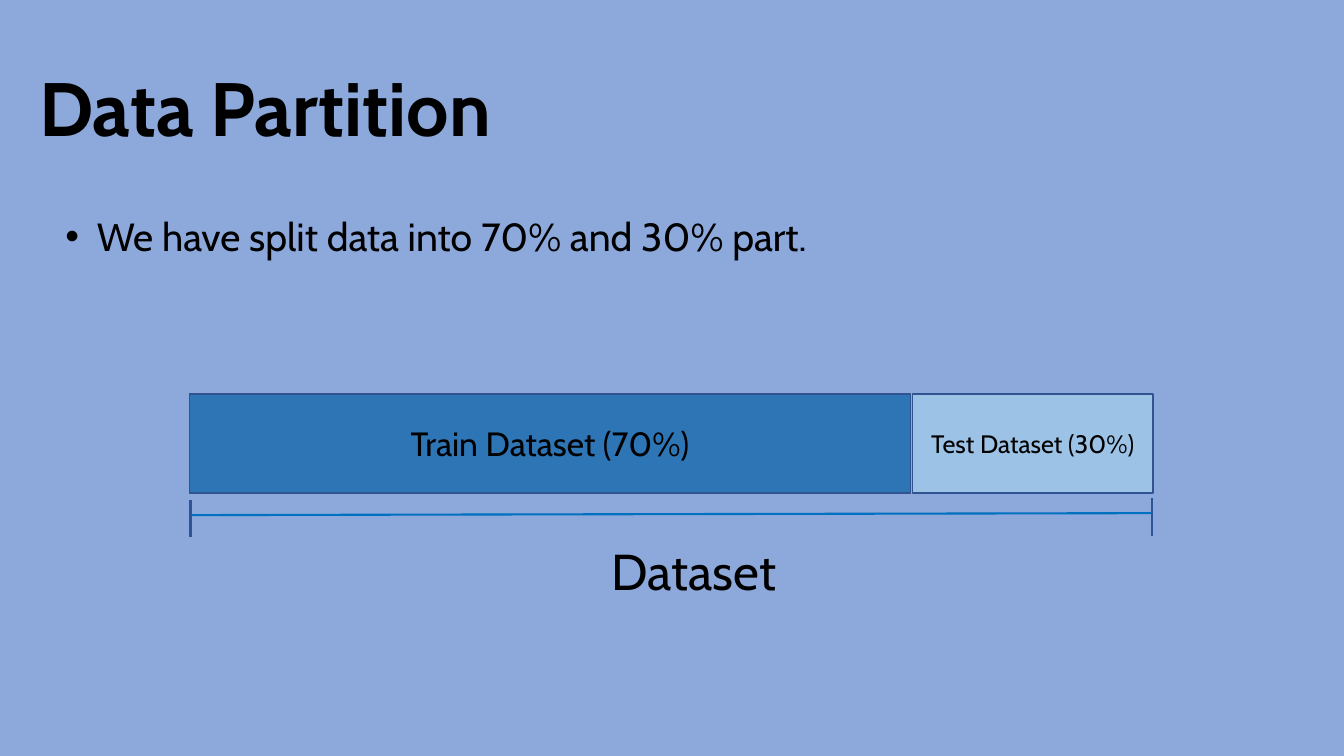
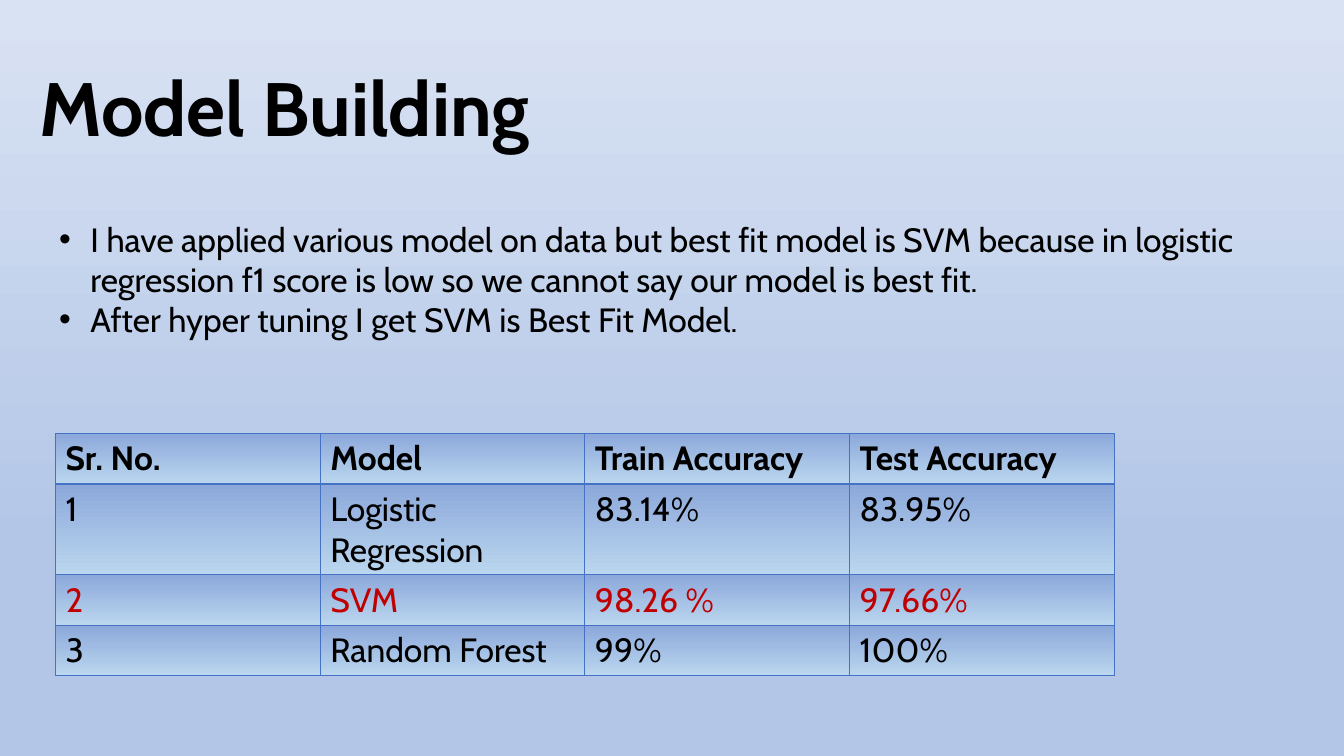
from lxml import etree
from pptx import Presentation
from pptx import util as u
from pptx.dml.color import RGBColor
from pptx.enum import shapes, text
from pptx.oxml.ns import qn

FONT = "Cabin"
COLOURS = {
    "ink": "000000", "page": "8DA9DB", "page top": "D8E2F3", "page bottom": "B3C6E7",
    "train": "2E75B5", "test": "9CC2E5", "outline": "31538F", "span": "0070C0",
    "tick": "2F5496", "cell bottom": "BBD6EE", "border": "4472C4", "highlight": "C00000",
}
RGB = {name: RGBColor.from_string(value) for name, value in COLOURS.items()}


def write(frame, lines, size, colour="ink", bold=False, align=None, bullet=False):
    frame.word_wrap = True
    for index, line in enumerate(lines):
        para = frame.paragraphs[0] if index == 0 else frame.add_paragraph()
        para.alignment = align
        if bullet:
            props = para._p.get_or_add_pPr()
            props.set("marL", str(u.Cm(0.79)))
            props.set("indent", str(-u.Cm(0.79)))
            etree.SubElement(props, qn("a:buFont"), typeface="Arial")
            etree.SubElement(props, qn("a:buChar"), char="•")
        span = para.add_run()
        span.text = line
        span.font.name = FONT
        span.font.size = u.Pt(size)
        span.font.bold = bold
        span.font.color.rgb = RGB[colour]


def shade(fill, stops):
    fill.gradient()
    fill.gradient_angle = 270
    for stop, (position, colour) in zip(fill.gradient_stops, stops):
        stop.position = position
        stop.color.rgb = RGB[colour]


deck = Presentation()
deck.slide_width = u.Cm(33.87)
deck.slide_height = u.Cm(19.05)

pages = []
for title in ("Data Partition", "Model Building"):
    page = deck.slides.add_slide(deck.slide_layouts[6])
    box = page.shapes.add_textbox(u.Cm(0.74), u.Cm(1.4), u.Cm(18.14), u.Cm(2.57))
    write(box.text_frame, [title], 54, bold=True)
    pages.append(page)
partition, building = pages

partition.background.fill.solid()
partition.background.fill.fore_color.rgb = RGB["page"]

bars = [
    ("Train Dataset (70%)", 4.78, 18.16, "train", 24),
    ("Test Dataset (30%)", 22.99, 6.07, "test", 18),
]
for label, left, width, colour, size in bars:
    bar = partition.shapes.add_shape(
        shapes.MSO_SHAPE.RECTANGLE, u.Cm(left), u.Cm(9.93), u.Cm(width), u.Cm(2.49))
    bar.shadow.inherit = False
    bar.fill.solid()
    bar.fill.fore_color.rgb = RGB[colour]
    bar.line.color.rgb = RGB["outline"]
    bar.line.width = u.Pt(1)
    bar.text_frame.vertical_anchor = text.MSO_ANCHOR.MIDDLE
    write(bar.text_frame, [label], size, align=text.PP_ALIGN.CENTER)

measures = [
    (4.8, 12.98, 29.01, 12.93, "span"),
    (4.8, 13.54, 4.8, 12.6, "tick"),
    (29.03, 13.51, 29.03, 12.55, "tick"),
]
for *ends, colour in measures:
    line = partition.shapes.add_connector(
        shapes.MSO_CONNECTOR.STRAIGHT, *[u.Cm(end) for end in ends])
    line.line.color.rgb = RGB[colour]
    line.line.width = u.Pt(1.5)
    etree.SubElement(line._element.spPr, qn("a:effectLst"))

box = partition.shapes.add_textbox(u.Cm(15.16), u.Cm(13.49), u.Cm(8.84), u.Cm(1.8))
write(box.text_frame, ["Dataset"], 36)

box = partition.shapes.add_textbox(u.Cm(1.4), u.Cm(5.23), u.Cm(29.29), u.Cm(1.45))
write(box.text_frame, ["We have split data into 70% and 30% part."], 28, bullet=True)

shade(building.background.fill, [(0.02, "page top"), (0.72, "page bottom")])

rows = [
    ("Sr. No.", "Model", "Train Accuracy", "Test Accuracy"),
    ("1", "Logistic Regression", "83.14%", "83.95%"),
    ("2", "SVM", "98.26 %", "97.66%"),
    ("3", "Random Forest", "99%", "100%"),
]
heights = [1.27, 2.29, 1.27, 1.27]
table = building.shapes.add_table(
    len(rows), len(rows[0]), u.Cm(1.4), u.Cm(10.92), u.Cm(26.68), u.Cm(sum(heights))).table
for column in table.columns:
    column.width = u.Cm(6.67)
for row, (values, height) in enumerate(zip(rows, heights)):
    table.rows[row].height = u.Cm(height)
    colour = "highlight" if "SVM" in values else "ink"
    for column, value in enumerate(values):
        cell = table.cell(row, column)
        write(cell.text_frame, [value], 24, colour, bold=row == 0)
        shade(cell.fill, [(0.02, "page"), (1, "cell bottom")])
        props = cell._tc.get_or_add_tcPr()
        for index, side in enumerate(("lnL", "lnR", "lnT", "lnB")):
            heavy = (row, side) in ((0, "lnB"), (1, "lnT"))
            border = etree.Element(qn("a:" + side), w=str(u.Pt(2 if heavy else 1)))
            solid = etree.SubElement(border, qn("a:solidFill"))
            etree.SubElement(solid, qn("a:srgbClr"), val=COLOURS["border"])
            props.insert(index, border)

box = building.shapes.add_textbox(u.Cm(1.24), u.Cm(5.38), u.Cm(30.61), u.Cm(3.33))
write(box.text_frame, [
    "I have applied various model on data but best fit model is SVM because in logistic "
    "regression f1 score is low so we cannot say our model is best fit.",
    "After hyper tuning I get SVM is Best Fit Model.",
], 24, bullet=True)

deck.save("out.pptx")
